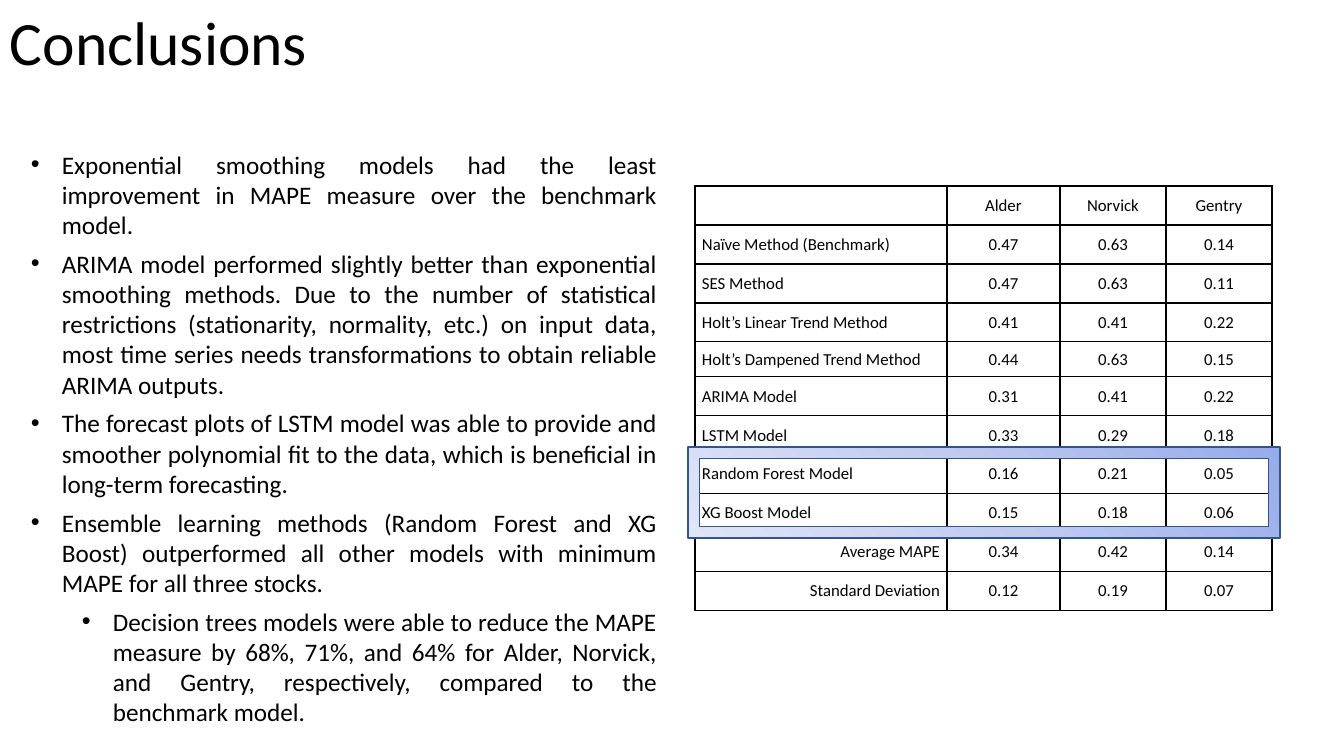
from copy import deepcopy
from dataclasses import dataclass

from lxml.etree import SubElement
from pptx import Presentation
from pptx.dml.color import RGBColor
from pptx.enum.shapes import MSO_SHAPE
from pptx.enum.text import MSO_ANCHOR, MSO_AUTO_SIZE, PP_ALIGN
from pptx.oxml.ns import qn
from pptx.util import Pt

SCALE = 914400 / 100.8  # EMU in one px
FONT = "Calibri"
COLORS = {"ink": "000000", "paper": "FFFFFF", "edge": "325491",
          "deep": "96ABEA", "mid": "C0CBF0", "pale": "E0E5F7"}


@dataclass
class Box:
    left: int
    top: int
    width: int
    height: int


@dataclass
class Point:
    text: str
    level: int = 0


@dataclass
class Row:
    label: str
    values: tuple
    align: PP_ALIGN = PP_ALIGN.LEFT
    height: int = 39


TITLE = Box(0, 0, 1159, 91)
BODY = Box(21, 144, 646, 594)
GRID = Box(695, 186, 577, 425)
FRAME = Box(688, 447, 592, 91)
WIDTHS = (252, 113, 106, 106)
HANG = 31
STEP = 51

POINTS = [
    Point("Exponential smoothing models had the least improvement in MAPE "
          "measure over the benchmark model."),
    Point("ARIMA model performed slightly better than exponential smoothing "
          "methods. Due to the number of statistical restrictions "
          "(stationarity, normality, etc.) on input data, most time series "
          "needs transformations to obtain reliable ARIMA outputs."),
    Point("The forecast plots of LSTM model was able to provide and smoother "
          "polynomial fit to the data, which is beneficial in long-term "
          "forecasting."),
    Point("Ensemble learning methods (Random Forest and XG Boost) "
          "outperformed all other models with minimum MAPE for all three "
          "stocks."),
    Point("Decision trees models were able to reduce the MAPE measure by 68%, "
          "71%, and 64% for Alder, Norvick, and Gentry, respectively, "
          "compared to the benchmark model.", 1),
]
ROWS = [
    Row("", ("Alder", "Norvick", "Gentry")),
    Row("Naïve Method (Benchmark)", ("0.47", "0.63", "0.14")),
    Row("SES Method", ("0.47", "0.63", "0.11")),
    Row("Holt’s Linear Trend Method", ("0.41", "0.41", "0.22")),
    Row("Holt’s Dampened Trend Method", ("0.44", "0.63", "0.15"), height=35),
    Row("ARIMA Model", ("0.31", "0.41", "0.22")),
    Row("LSTM Model", ("0.33", "0.29", "0.18")),
    Row("Random Forest Model", ("0.16", "0.21", "0.05")),
    Row("XG Boost Model", ("0.15", "0.18", "0.06")),
    Row("Average MAPE", ("0.34", "0.42", "0.14"), PP_ALIGN.RIGHT),
    Row("Standard Deviation", ("0.12", "0.19", "0.07"), PP_ALIGN.RIGHT),
]


def px(length: int) -> int:
    return round(length * SCALE)


def place(box: Box) -> tuple:
    return px(box.left), px(box.top), px(box.width), px(box.height)


def paint(name: str) -> RGBColor:
    return RGBColor.from_string(COLORS[name])


def style(para, size: int, align: PP_ALIGN) -> None:
    para.alignment = align
    para.font.name = FONT
    para.font.size = Pt(size)
    para.font.color.rgb = paint("ink")


def add_title(slide, text: str) -> None:
    frame = slide.shapes.add_textbox(*place(TITLE)).text_frame
    frame.word_wrap = True
    frame.vertical_anchor = MSO_ANCHOR.MIDDLE
    para = frame.paragraphs[0]
    para.text = text
    para.line_spacing = 0.9
    style(para, 44, PP_ALIGN.LEFT)


def add_points(slide, points: list[Point]) -> None:
    frame = slide.shapes.add_textbox(*place(BODY)).text_frame
    frame.word_wrap = True
    frame.auto_size = MSO_AUTO_SIZE.SHAPE_TO_FIT_TEXT
    for i, point in enumerate(points):
        para = frame.add_paragraph() if i else frame.paragraphs[0]
        para.text = point.text
        para.level = point.level
        para.space_before = Pt(6)
        style(para, 18, PP_ALIGN.JUSTIFY)
        # Hanging bullet
        props = para._p.get_or_add_pPr()
        props.set("marL", str(px(HANG + STEP * point.level)))
        props.set("indent", str(-px(HANG)))
        bullet = SubElement(props, qn("a:buFont"))
        bullet.set("typeface", "Arial")
        SubElement(props, qn("a:buChar")).set("char", "•")
        # Bullet elements come before the run defaults
        props.append(props.find(qn("a:defRPr")))


def fill_cell(cell, text: str, align: PP_ALIGN) -> None:
    cell.margin_left = cell.margin_right = px(7)
    cell.margin_top = cell.margin_bottom = 0
    cell.vertical_anchor = MSO_ANCHOR.MIDDLE
    para = cell.text_frame.paragraphs[0]
    para.text = text
    style(para, 12, align)
    # Borders come before the fill
    props = cell._tc.get_or_add_tcPr()
    for side in ("lnL", "lnR", "lnT", "lnB"):
        line = SubElement(props, qn(f"a:{side}"), w=str(Pt(1)))
        solid = SubElement(line, qn("a:solidFill"))
        SubElement(solid, qn("a:srgbClr"), val=COLORS["ink"])
    cell.fill.solid()
    cell.fill.fore_color.rgb = paint("paper")


def add_grid(slide, rows: list[Row]) -> None:
    table = slide.shapes.add_table(len(rows), len(WIDTHS), *place(GRID)).table
    table.first_row = table.horz_banding = False
    for column, width in zip(table.columns, WIDTHS):
        column.width = px(width)
    for line, row in zip(table.rows, rows):
        line.height = px(row.height)
        for i, text in enumerate((row.label, *row.values)):
            align = PP_ALIGN.CENTER if i else row.align
            fill_cell(line.cells[i], text, align)


def add_frame(slide) -> None:
    shape = slide.shapes.add_shape(MSO_SHAPE.FRAME, *place(FRAME))
    shape.shadow.inherit = False
    shape.line.color.rgb = paint("edge")
    shape.line.width = Pt(1)
    # Three-stop gradient, dark at the upper right
    fill = shape.fill
    fill.gradient()
    fill.gradient_angle = 225
    stops = next(shape._element.iter(qn("a:gsLst")))
    stops.append(deepcopy(stops[-1]))
    names = ("deep", "mid", "pale")
    for i, (stop, name) in enumerate(zip(fill.gradient_stops, names)):
        stop.position = i / 2
        stop.color.rgb = paint(name)


def main() -> None:
    deck = Presentation()
    deck.slide_width, deck.slide_height = px(1344), px(756)
    slide = deck.slides.add_slide(deck.slide_layouts[6])
    add_title(slide, "Conclusions")
    add_grid(slide, ROWS)
    add_frame(slide)
    add_points(slide, POINTS)
    deck.save("out.pptx")


if __name__ == "__main__":
    main()
